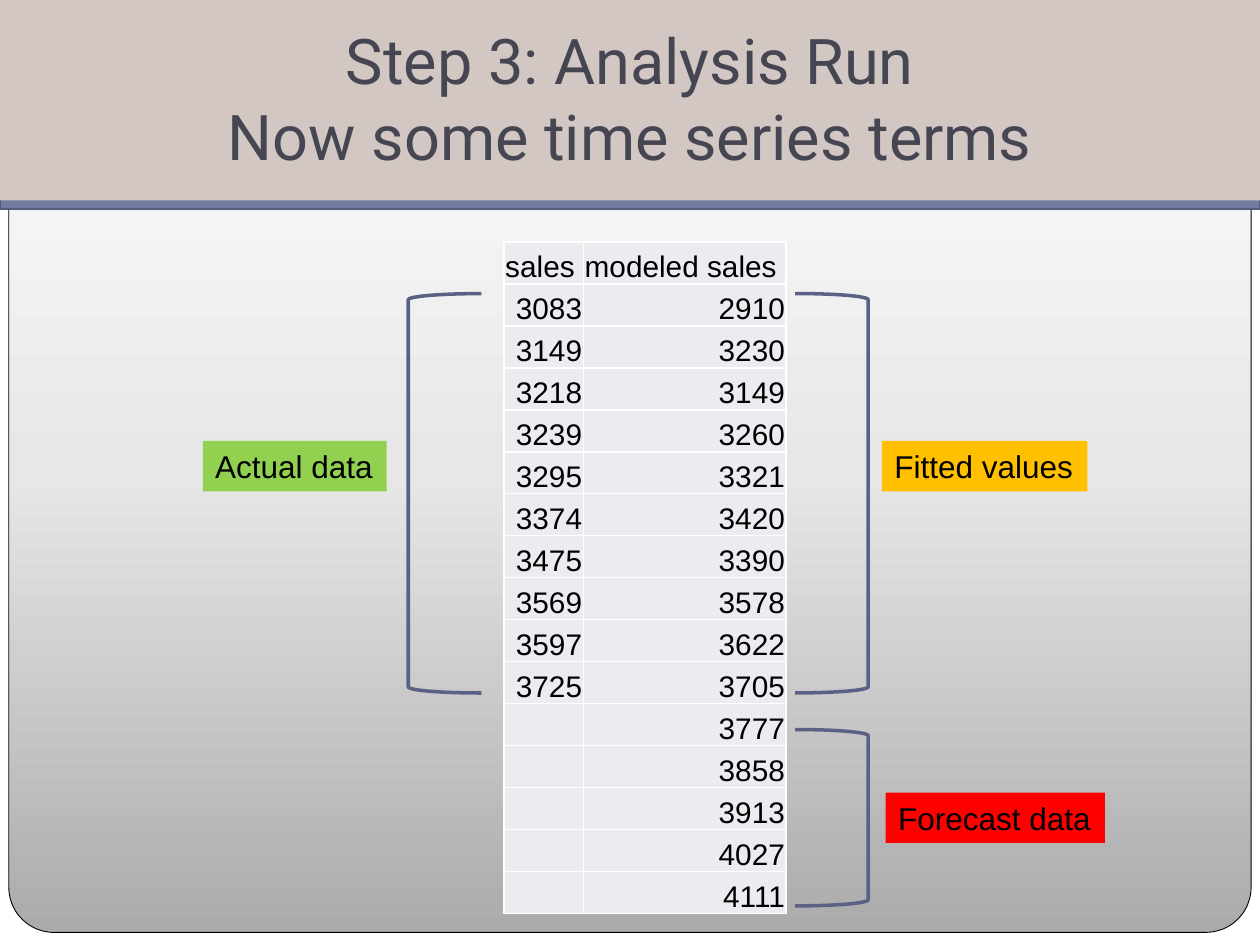
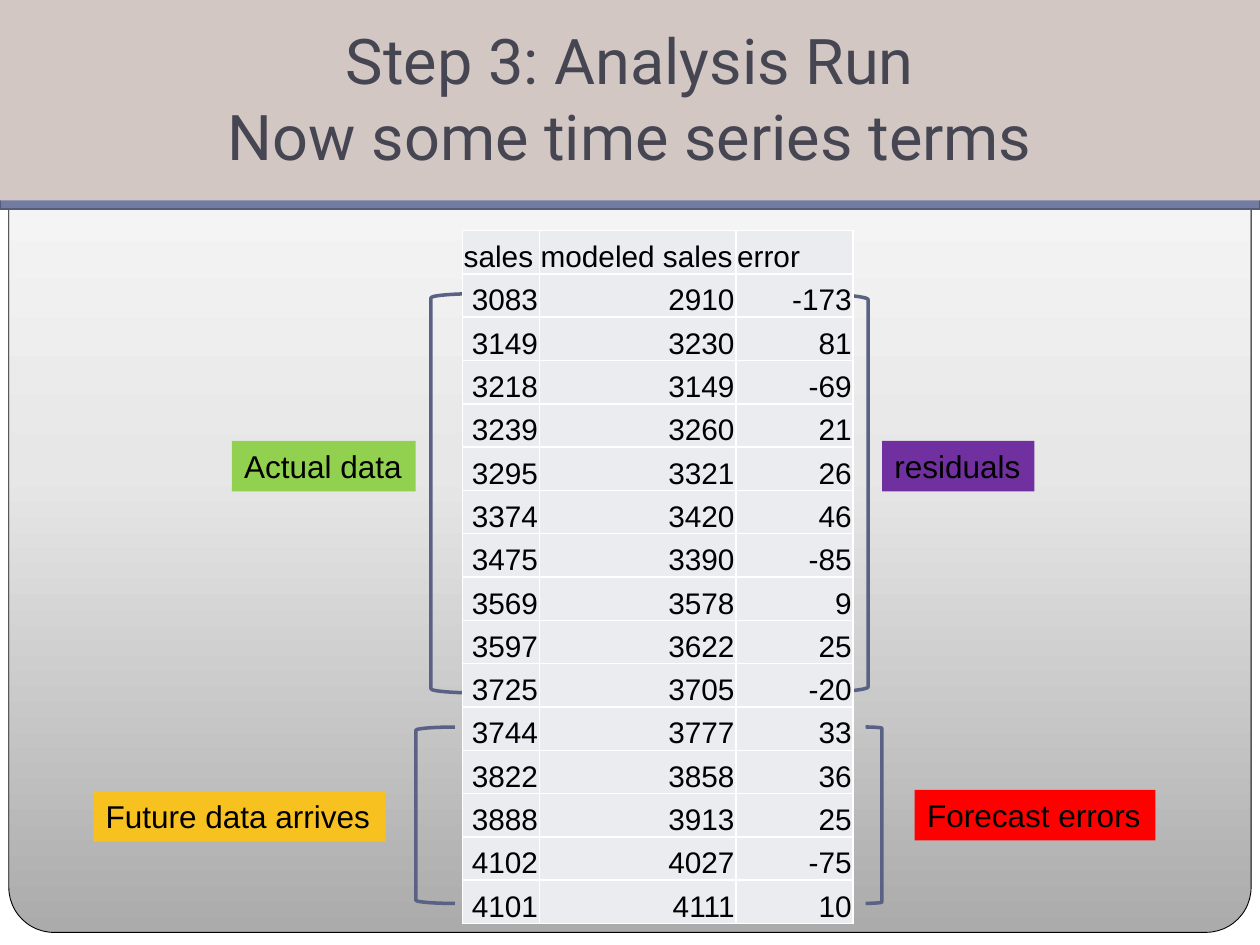
from copy import deepcopy
from lxml.etree import SubElement
from pptx import Presentation
from pptx.dml.color import RGBColor as RGB
from pptx.enum.shapes import MSO_SHAPE as Shape
from pptx.enum.text import MSO_ANCHOR as Anchor, MSO_AUTO_SIZE as Fit, PP_ALIGN as Align
from pptx.oxml.ns import qn
from pptx.util import Inches, Pt

# Colours
BLACK = RGB(0x00, 0x00, 0x00)
WHITE = RGB(0xFF, 0xFF, 0xFF)
SLATE = RGB(0x46, 0x46, 0x53)
SAND = RGB(0xD2, 0xC7, 0xC3)
BLUE = RGB(0x72, 0x7C, 0xA3)
EDGE = RGB(0x54, 0x5C, 0x79)
BRACE = RGB(0x59, 0x62, 0x84)
CELL = RGB(0xEB, 0xEC, 0xF0)
GREEN = RGB(0x92, 0xD0, 0x50)
AMBER = RGB(0xFF, 0xC0, 0x00)
GOLD = RGB(0xF7, 0xC1, 0x20)
RED = RGB(0xFF, 0x00, 0x00)
PURPLE = RGB(0x70, 0x30, 0xA0)
FADE = [(0, RGB(0xAB, 0xAB, 0xAB)), (0.5, RGB(0xE7, 0xE7, 0xE7)), (1, WHITE)]

# Content
TITLE = "Step 3: Analysis Run\nNow some time series terms"
SALES = [3083, 3149, 3218, 3239, 3295, 3374, 3475, 3569, 3597, 3725]
LATER = [3744, 3822, 3888, 4102, 4101]
MODEL = [2910, 3230, 3149, 3260, 3321, 3420, 3390, 3578, 3622, 3705,
         3777, 3858, 3913, 4027, 4111]
ERROR = [-173, 81, -69, 21, 26, 46, -85, 9, 25, -20, 33, 36, 25, -75, 10]

# Tables: left, top, height, then (head, width, values) for each column
# Labels: text, colour, left, top, width
# Brackets: left, top, width, height, turn
TALL, SHORT = 3.17, 1.4
SLIDES = [
    {"table": (4, 1.92, 5.33, [("sales", 0.63, SALES + [""] * len(LATER)),
                               ("modeled sales", 1.61, MODEL)]),
     "labels": [("Actual data", GREEN, 1.61, 3.5, 1.46),
                ("Fitted values", AMBER, 7, 3.5, 1.63),
                ("Forecast data", RED, 7.03, 6.29, 1.74)],
     "brackets": [(6.31, 2.33, 0.58, TALL, 0),
                  (6.31, 5.79, 0.58, SHORT, 0),
                  (3.24, 2.33, 0.58, TALL, 180)]},
    {"table": (3.67, 1.83, 5.5, [("sales", 0.61, SALES + LATER),
                                 ("modeled sales", 1.56, MODEL),
                                 ("error", 0.93, ERROR)]),
     "labels": [("Actual data", GREEN, 1.84, 3.5, 1.46),
                ("residuals", PURPLE, 7, 3.5, 1.21),
                ("Forecast errors", RED, 7.26, 6.27, 1.91),
                ("Future data arrives", GOLD, 0.74, 6.28, 2.32)],
     "brackets": [(6.31, 2.33, 0.58, TALL, 0),
                  (3.3, 5.77, 0.31, SHORT, 180),
                  (3.42, 2.33, 0.4, TALL, 180),
                  (6.87, 5.77, 0.13, SHORT, 0)]},
]


def style(para, size, color=BLACK, face="Arial", align=Align.LEFT):
    para.alignment = align
    font = para.font
    font.size, font.name, font.color.rgb = Pt(size), face, color


def add_form(slide, kind, box, line, weight):
    form = slide.shapes.add_shape(kind, *map(Inches, box))
    form.shadow.inherit = False
    form.line.color.rgb, form.line.width = line, Pt(weight)
    return form


def add_panel(slide):
    """Draw the shaded panel and move it to the shared layout."""
    panel = add_form(slide, Shape.ROUNDED_RECTANGLE, (0.07, 0.08, 9.86, 7.32), BLACK, 0.5)
    panel.adjustments[0] = 0.049
    fill = panel.fill
    fill.gradient()
    fill.gradient_angle = 90
    stops = panel.element.spPr.find(".//" + qn("a:gsLst"))
    stops.insert(1, deepcopy(stops[0]))
    for stop, (place, color) in zip(fill.gradient_stops, FADE):
        stop.position, stop.color.rgb = place, color
    slide.slide_layout.shapes.element.insert(2, panel.element)


def add_head(slide):
    """Place the title band, with the blue rule behind it."""
    rule = add_form(slide, Shape.RECTANGLE, (0, 1.58, 10, 0.08), EDGE, 1)
    rule.fill.solid()
    rule.fill.fore_color.rgb = BLUE
    slide.shapes.element.insert(2, rule.element)

    title = slide.shapes.title
    title.left, title.top, title.width, title.height = map(Inches, (0, 0, 10, 1.59))
    title.fill.solid()
    title.fill.fore_color.rgb = SAND
    frame = title.text_frame
    frame.text = TITLE
    frame.auto_size, frame.vertical_anchor = Fit.NONE, Anchor.MIDDLE
    frame.margin_bottom = Inches(0.1)
    for para in frame.paragraphs:
        style(para, 36, SLATE, "Roboto", Align.CENTER)


def add_edges(cell):
    props = cell._tc.get_or_add_tcPr()
    for spot, side in enumerate(("a:lnL", "a:lnR", "a:lnT", "a:lnB")):
        edge = SubElement(props, qn(side), w=str(Pt(1)))
        fill = SubElement(edge, qn("a:solidFill"))
        SubElement(fill, qn("a:srgbClr"), val=str(WHITE))
        props.insert(spot, edge)


def add_grid(slide, left, top, height, cols):
    rows = len(MODEL) + 1
    width = sum(col[1] for col in cols)
    table = slide.shapes.add_table(rows, len(cols), *map(Inches, (left, top, width, height))).table
    table.first_row = table.horz_banding = False
    for row in table.rows:
        row.height = Inches(height / rows)
    for c, (head, wide, values) in enumerate(cols):
        table.columns[c].width = Inches(wide)
        for r, value in enumerate([head] + values):
            cell = table.cell(r, c)
            cell.text = str(value)
            cell.fill.solid()
            cell.fill.fore_color.rgb = CELL
            cell.vertical_anchor = Anchor.BOTTOM
            cell.margin_left = cell.margin_right = cell.margin_top = Inches(0.01)
            cell.margin_bottom = 0
            style(cell.text_frame.paragraphs[0], 17, align=Align.RIGHT if r else Align.LEFT)
            add_edges(cell)


def add_label(slide, text, color, left, top, width):
    label = slide.shapes.add_textbox(*map(Inches, (left, top, width, 0.4)))
    label.fill.solid()
    label.fill.fore_color.rgb = color
    frame = label.text_frame
    frame.text = text
    frame.word_wrap, frame.auto_size = False, Fit.SHAPE_TO_FIT_TEXT
    style(frame.paragraphs[0], 18)


def add_brace(slide, left, top, width, height, turn):
    brace = add_form(slide, Shape.RIGHT_BRACKET, (left, top, width, height), BRACE, 2)
    brace.fill.background()
    brace.rotation = turn


def main():
    deck = Presentation()
    deck.slide_width, deck.slide_height = Inches(10), Inches(7.5)
    layout = deck.slide_layouts[5]
    for n, page in enumerate(SLIDES):
        slide = deck.slides.add_slide(layout)
        if n == 0:
            add_panel(slide)
        add_head(slide)
        # Brackets lie behind the table
        for brace in page["brackets"]:
            add_brace(slide, *brace)
        add_grid(slide, *page["table"])
        for label in page["labels"]:
            add_label(slide, *label)
    deck.save("out.pptx")


if __name__ == "__main__":
    main()
